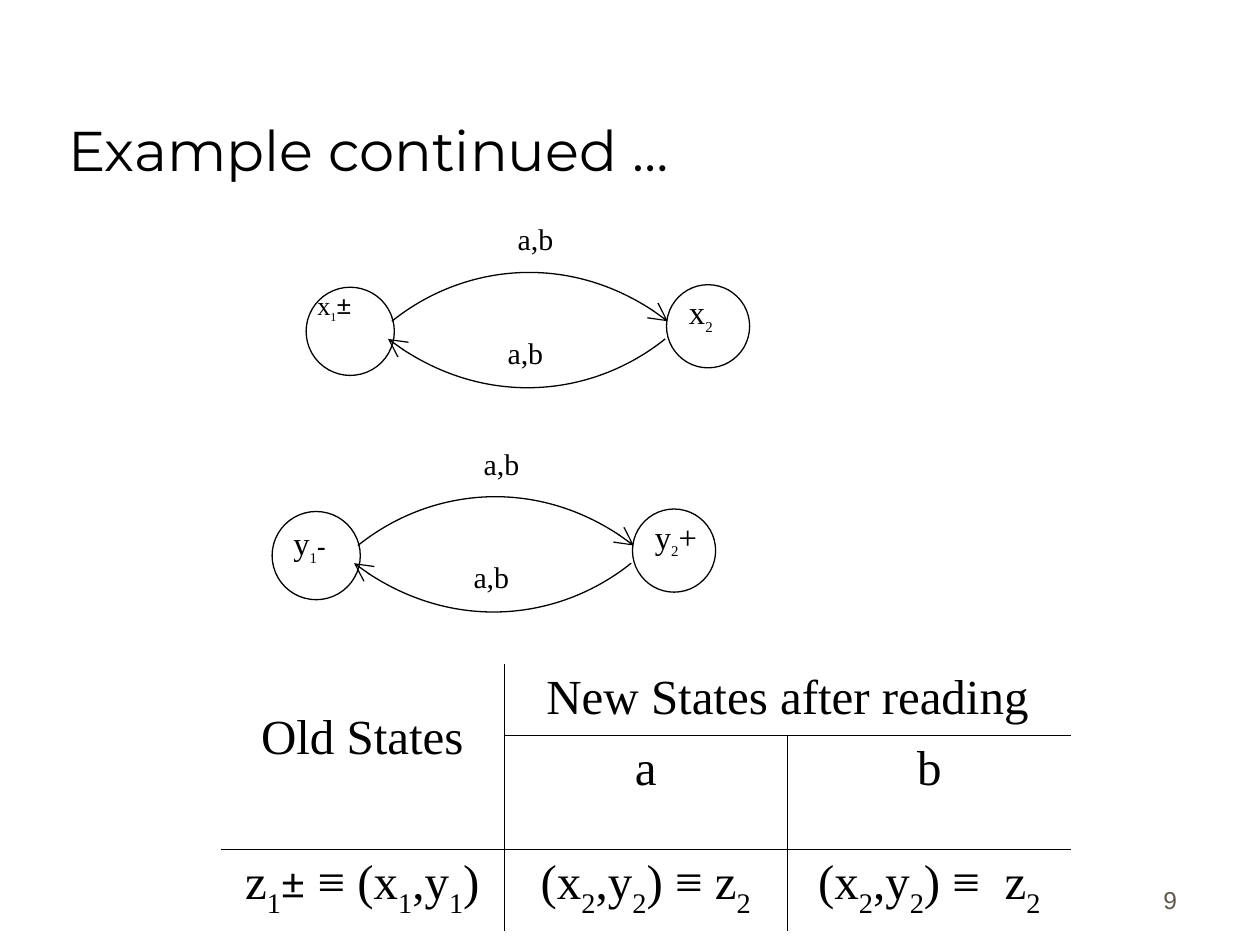
from lxml.etree import SubElement as Sub
from pptx import Presentation
from pptx.dml.color import RGBColor
from pptx.enum.shapes import MSO_SHAPE as Geo
from pptx.enum.text import MSO_ANCHOR as Anchor, PP_ALIGN as Align
from pptx.oxml.ns import qn
from pptx.util import Emu, Pt

PX = 9144  # 100 px to the inch
BLACK = RGBColor(0x00, 0x00, 0x00)
WHITE = RGBColor(0xFF, 0xFF, 0xFF)
GRAY = RGBColor(0x5E, 0x57, 0x4E)
SERIF = "Times New Roman"


def px(*vals):
    return [Emu(val * PX) for val in vals]


class Deck:
    def __init__(self):
        self.prs = Presentation()
        self.prs.slide_width, self.prs.slide_height = px(1000, 750)
        self.slide = self.prs.slides.add_slide(self.prs.slide_layouts[5])
        self.shapes = self.slide.shapes

    def style(self, font, size, name=SERIF, color=BLACK):
        font.size, font.name = Pt(size), name
        font.color.rgb = color

    def fill_runs(self, par, text, size, low, mark):
        """Add runs split by |, where _ starts a subscript of size low;
        the sign ± takes size mark."""
        for bit in text.split("|"):
            run = par.add_run()
            run.text = bit.lstrip("_")
            if bit[0] == "_":
                self.style(run.font, low)
                run.font._element.set("baseline", "-30000")
            elif bit == "±":
                self.style(run.font, mark, "Lato")
            elif bit == "-":
                self.style(run.font, low)
                run.font.bold = True
            else:
                self.style(run.font, size)

    def title(self, text):
        box = self.shapes.title
        box.left, box.top, box.width, box.height = px(44, 25, 850, 125)
        frame = box.text_frame
        frame.text = text
        frame.vertical_anchor = Anchor.BOTTOM
        par = frame.paragraphs[0]
        par.alignment = Align.LEFT
        self.style(par.runs[0].font, 32, "Montserrat")

    def number(self, text):
        frame = self.shapes.add_textbox(*px(736, 681, 208, 50)).text_frame
        frame.word_wrap = True
        frame.vertical_anchor = Anchor.BOTTOM
        frame.text = text
        par = frame.paragraphs[0]
        par.alignment = Align.RIGHT
        self.style(par.runs[0].font, 14, "Arial", GRAY)

    def label(self, x, y, text, size, wide=80, high=46):
        frame = self.shapes.add_textbox(*px(x, y, wide, high)).text_frame
        frame.word_wrap = True
        par = frame.paragraphs[0]
        par.line_spacing = 0.8
        self.fill_runs(par, text, size, round(size * 0.79, 1), size)

    def pen(self, shape):
        shape.shadow.inherit = False
        shape.line.color.rgb = BLACK
        shape.line.width = Pt(0.75)

    def state(self, x, y, size):
        disc = self.shapes.add_shape(Geo.OVAL, *px(x, y, size, size))
        disc.fill.solid()
        disc.fill.fore_color.rgb = WHITE
        self.pen(disc)

    def arc(self, start, *rest):
        """Draw one cubic curve with an arrowhead at its end."""
        form = self.shapes.build_freeform(*start, scale=PX)
        form.add_line_segments(rest, close=False)
        shape = form.convert_to_shape()
        trace = next(shape._element.iter(qn("a:path")))
        lines = trace.findall(qn("a:lnTo"))
        curve = Sub(trace, qn("a:cubicBezTo"))
        for line in lines:
            curve.append(line[0])
            trace.remove(line)
        shape.fill.background()
        self.pen(shape)
        edge = shape._element.spPr.find(qn("a:ln"))
        Sub(edge, qn("a:tailEnd"), type="arrow", w="lg", len="lg")

    def graph(self, x, y, left, right, size, shift):
        """Draw two states and the arcs between them; shift moves the left name."""
        def at(*spots):
            return [(x + dx, y + dy) for dx, dy in spots]

        self.state(x, y, 70)
        self.state(x + 286, y - 2, 66)
        self.arc(*at((68, 27), (124, -18), (215, -29), (287, 27)))
        self.arc(*at((285, 41), (229, 86), (138, 97), (65, 41)))
        for spot in at((158, -52), (150, 38)):
            self.label(*spot, "a,b", 17.1, 101, 41)
        self.label(*at(shift)[0], left, size)
        self.label(x + 294, y + 3, right, 18.6)

    def border(self, cell, sides):
        """Rule the sides marked true, in the order L, R, T, B."""
        props = cell._tc.get_or_add_tcPr()
        for side, shown in zip("LRTB", sides):
            line = Sub(props, qn("a:ln" + side), w=str(Pt(0.45)))
            if shown:
                fill = Sub(line, qn("a:solidFill"))
                Sub(fill, qn("a:srgbClr"), val=str(BLACK))
            else:
                Sub(line, qn("a:noFill"))
        cell.fill.background()

    def table(self, rows, highs):
        frame = self.shapes.add_table(3, 3, *px(175, 527, 675, sum(highs)))
        grid = frame.table
        grid.first_row = grid.horz_banding = False
        for col in grid.columns:
            col.width = px(225)[0]
        for r, (texts, high) in enumerate(zip(rows, highs)):
            grid.rows[r].height = px(high)[0]
            for c, text in enumerate(texts):
                cell = grid.cell(r, c)
                self.border(cell, (c == 1 or c == 2 and r > 0,
                                   c == 0 or c == 1 and r > 0,
                                   r == 2 or r == 1 and c > 0,
                                   r == 1 or r == 0 and c > 0))
                if text:
                    par = cell.text_frame.paragraphs[0]
                    par.alignment = Align.CENTER
                    self.fill_runs(par, text, 28, 28, 24)
        grid.cell(0, 0).merge(grid.cell(1, 0))
        grid.cell(0, 1).merge(grid.cell(0, 2))
        grid.cell(0, 0).margin_top = px(37)[0]


def main():
    deck = Deck()
    deck.title("Example continued …")
    deck.number("9")
    deck.table([
        ("Old States", "New States after reading", ""),
        ("", "a", "b"),
        ("z|_1|±| ≡ (x|_1|,y|_1|)", "(x|_2|,y|_2|) ≡ z|_2",
         "(x|_2|,y|_2|) ≡  z|_2"),
    ], (57, 90, 65))
    deck.graph(216, 406, "y|_1|-", "y|_2|+", 18.6, (7, 8))
    deck.graph(243, 228, "x|_1|±", "x|_2", 15, (-1, 0))
    deck.prs.save("out.pptx")


if __name__ == "__main__":
    main()
